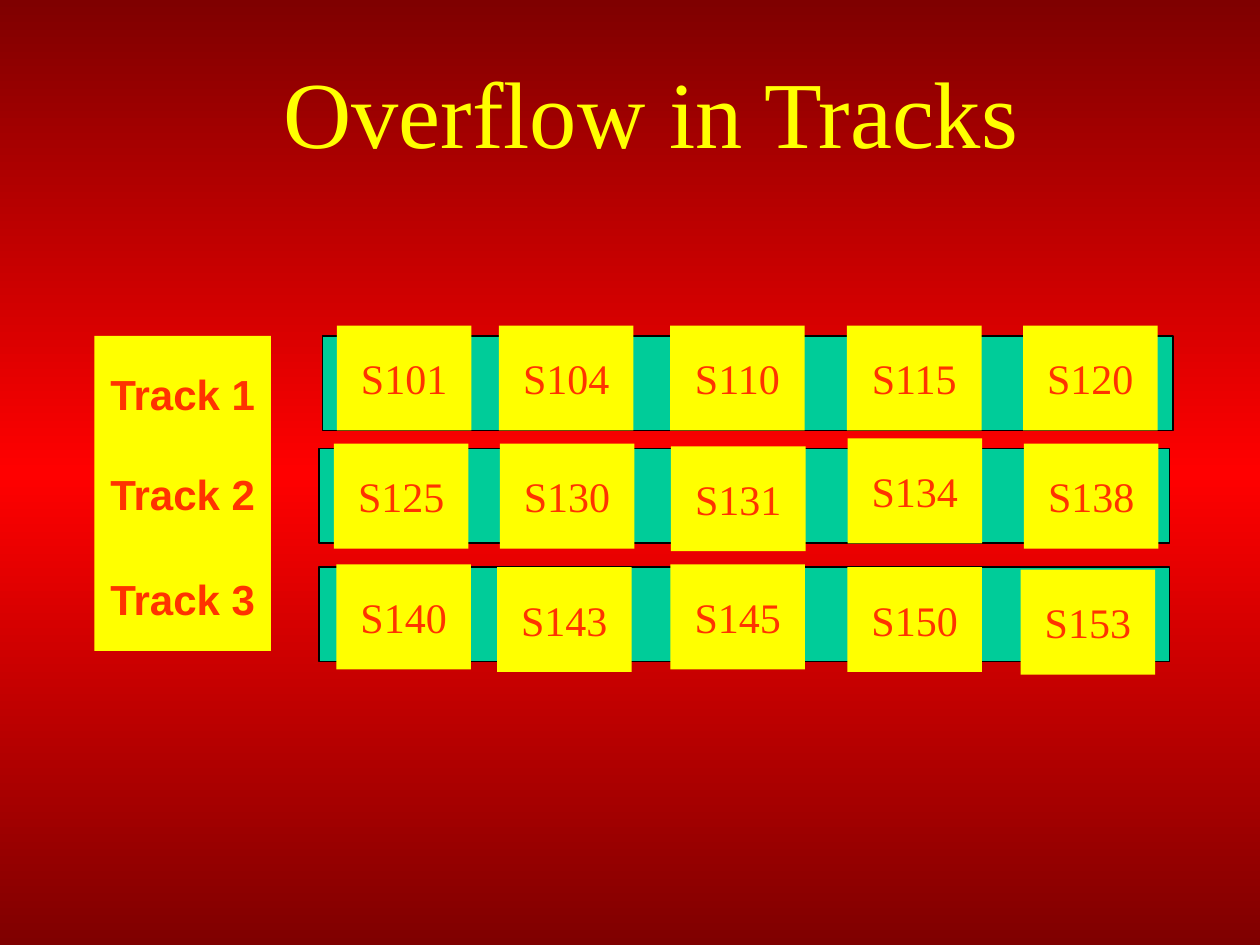
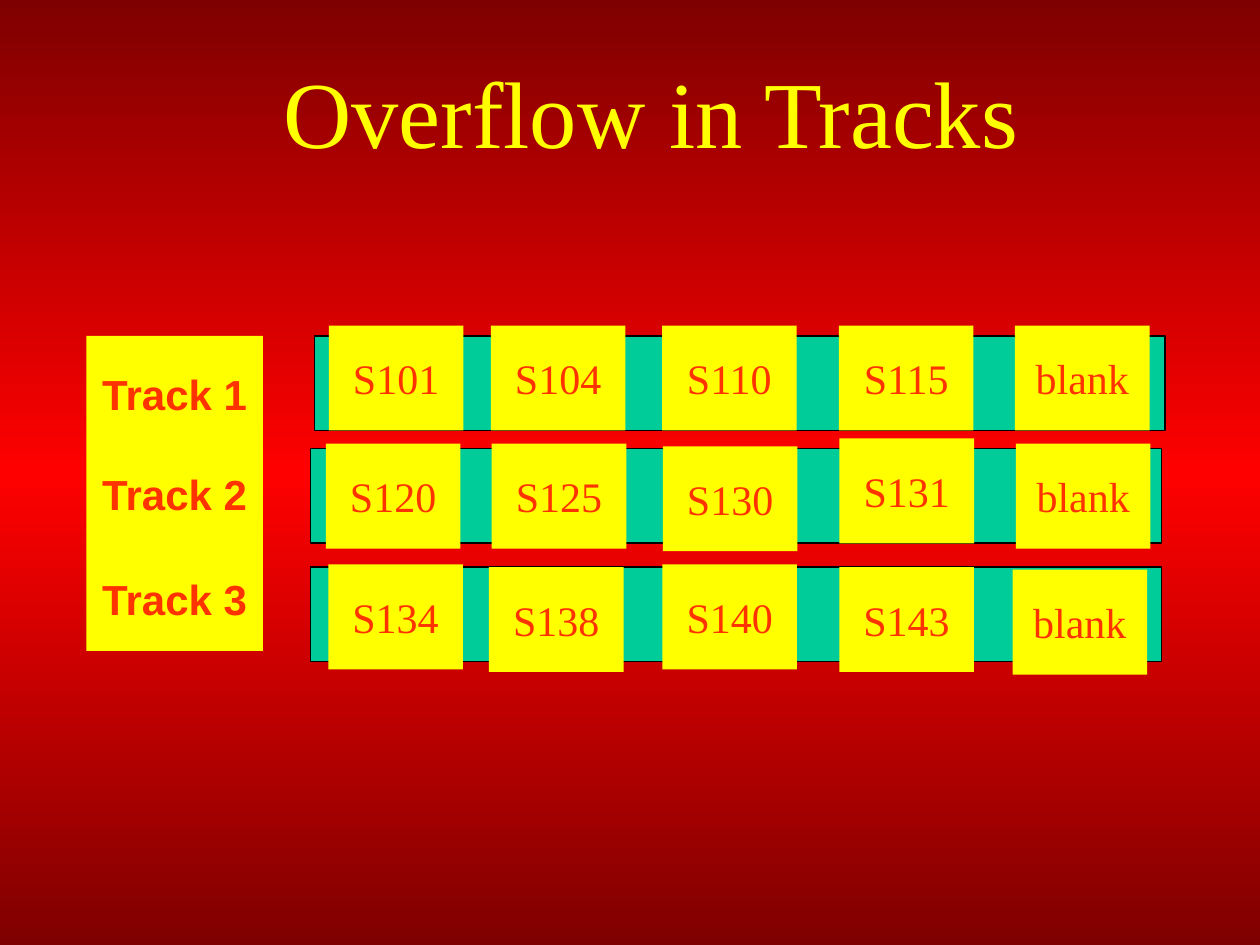
from copy import deepcopy
from pptx import Presentation
from pptx.dml.color import RGBColor
from pptx.enum.shapes import MSO_SHAPE as Shape
from pptx.enum.text import MSO_ANCHOR as Anchor, MSO_AUTO_SIZE as AutoSize, PP_ALIGN as Align
from pptx.oxml.ns import qn
from pptx.util import Pt

# Content: left edge of the diagram and the records of each track
TITLE = "Overflow in Tracks"
SLIDES = [
    (54, [["S101", "S104", "S110", "S115", "S120"],
          ["S125", "S130", "S131", "S134", "S138"],
          ["S140", "S143", "S145", "S150", "S153"]]),
    (49.4, [["S101", "S104", "S110", "S115", "blank"],
            ["S120", "S125", "S130", "S131", "blank"],
            ["S134", "S138", "S140", "S143", "blank"]]),
]

# Shared style
COLORS = {"edge": "7F0000", "middle": "FF0000", "title": "FFFF00", "tile": "FFFF00",
          "text": "FF3300", "bar": "00CC99", "line": "000000"}
SERIF, SANS = "Times New Roman", "Arial"
INSETS = (7.2, 3.6, 7.2, 3.6)
FIRST_LABEL_INSETS = (0, 6, 0, 0)

# Geometry in points; left positions count from the diagram's left edge
LABEL_TOP, LABEL_WIDTH = 192, 100.8
TILE_WIDTH, TILE_HEIGHT = 76.9, 60
BAR_WIDTH, BAR_HEIGHT = 486, 54
BARS = [(130.3, 192), (128.2, 256.4), (128.2, 324)]
TILE_LEFTS = [[138.5, 231.1, 328.9, 430, 530.6],
              [136.8, 231.6, 329.4, 430.3, 531.1],
              [138.2, 230, 329.1, 430.2, 529.2]]
TILE_TOPS = [[186] * 5,
             [253.5, 253.5, 255, 250.5, 253.5],
             [322.5, 324, 322.5, 324, 325.5]]


def rgb(name):
    return RGBColor.from_string(COLORS[name])


def write(frame, text, size, font, color, bold=False, insets=INSETS):
    frame.margin_left, frame.margin_top, frame.margin_right, frame.margin_bottom = map(Pt, insets)
    frame.vertical_anchor = Anchor.MIDDLE
    frame.word_wrap = True
    frame.auto_size = AutoSize.NONE
    para = frame.paragraphs[0]
    para.alignment = Align.CENTER
    span = para.add_run()
    span.text = text
    span.font.size, span.font.name, span.font.bold = Pt(size), font, bold
    span.font.color.rgb = rgb(color)


def add_box(group, left, top, width, height, fill, line=None):
    box = group.shapes.add_shape(Shape.RECTANGLE, Pt(left), Pt(top), Pt(width), Pt(height))
    box.shadow.inherit = False
    box.fill.solid()
    box.fill.fore_color.rgb = rgb(fill)
    if line:
        box.line.color.rgb = rgb(line)
        box.line.width = Pt(0.75)
    else:
        box.line.fill.background()
    return box


def paint_background(master):
    fill = master.background.fill
    fill.gradient()
    fill.gradient_angle = 90
    stop_list = master.element.find(".//" + qn("a:gsLst"))
    stop_list.append(deepcopy(stop_list[-1]))
    stops = zip(fill.gradient_stops, (0, 0.5, 1), ("edge", "middle", "edge"))
    for stop, position, color in stops:
        stop.position = position
        stop.color.rgb = rgb(color)


def add_page(deck, left, tracks):
    page = deck.slides.add_slide(deck.slide_layouts[5])
    title = page.shapes.title
    title.left, title.top, title.width, title.height = Pt(66), Pt(30), Pt(612), Pt(66)
    write(title.text_frame, TITLE, 54, SERIF, "title")

    # Green track bars behind everything
    group = page.shapes.add_group_shape()
    for bar_left, top in reversed(BARS):
        add_box(group, left + bar_left, top, BAR_WIDTH, BAR_HEIGHT, "bar", "line")

    # Track label followed by its records
    for row, (records, lefts, tops) in enumerate(zip(tracks, TILE_LEFTS, TILE_TOPS)):
        label = add_box(group, left, LABEL_TOP + row * TILE_HEIGHT, LABEL_WIDTH, TILE_HEIGHT, "tile")
        write(label.text_frame, f"Track {row + 1}", 24, SANS, "text", True,
              INSETS if row else FIRST_LABEL_INSETS)
        for record, tile_left, top in zip(records, lefts, tops):
            tile = add_box(group, left + tile_left, top, TILE_WIDTH, TILE_HEIGHT, "tile")
            write(tile.text_frame, record, 24, SERIF, "text")


def main():
    deck = Presentation()
    deck.slide_width, deck.slide_height = Pt(720), Pt(540)
    paint_background(deck.slide_master)
    for left, tracks in SLIDES:
        add_page(deck, left, tracks)
    deck.save("out.pptx")


if __name__ == "__main__":
    main()
